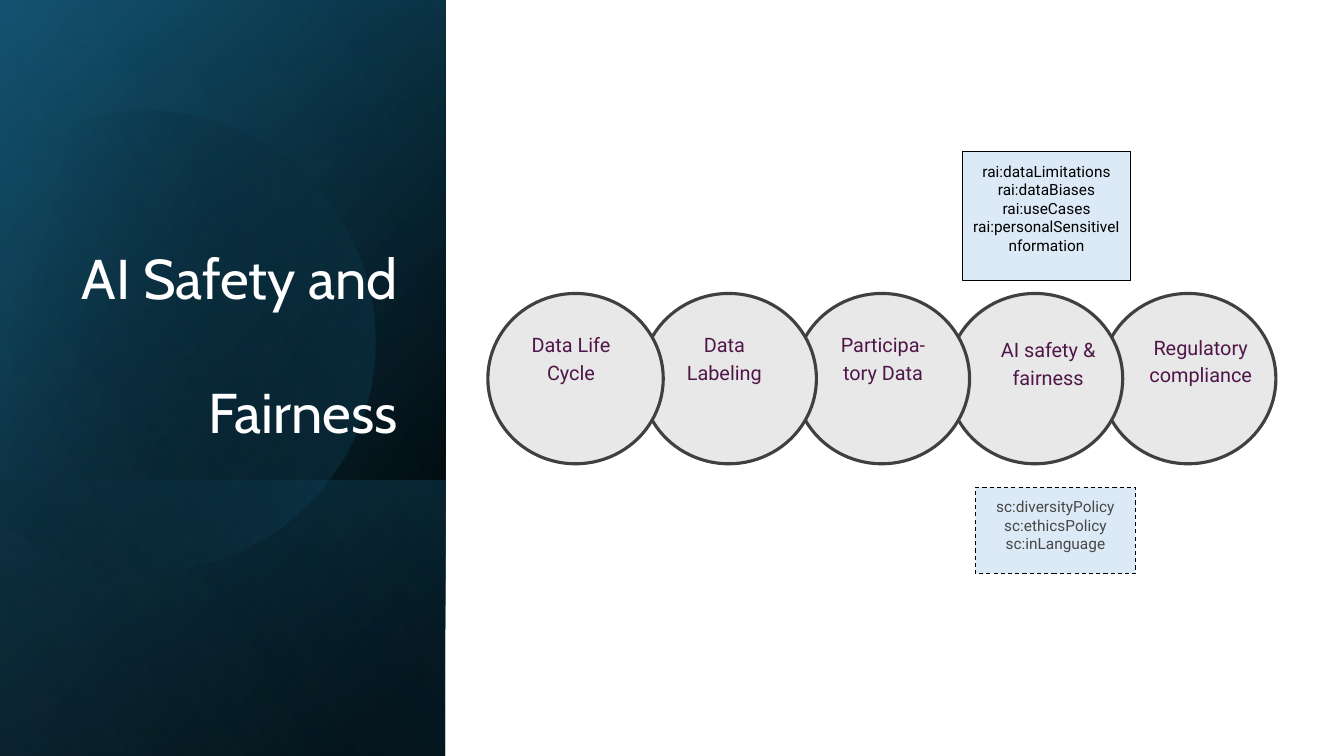
from math import cos, sin, radians
from pptx import Presentation
from pptx.util import Pt
from pptx.dml.color import RGBColor
from pptx.enum.dml import MSO_LINE as Dash
from pptx.enum.shapes import MSO_SHAPE as Shape
from pptx.enum.text import MSO_ANCHOR as Anchor, PP_ALIGN as Align, MSO_AUTO_SIZE as Fit
from pptx.oxml import parse_xml
from pptx.oxml.ns import nsdecls, qn


def hue(code):
    return RGBColor.from_string(code)


def write(shape, text, size, code, anchor, font="Roboto", align=Align.CENTER, pad=7.2):
    frame = shape.text_frame
    frame.text = text
    frame.word_wrap = True
    frame.auto_size = Fit.NONE
    frame.vertical_anchor = anchor
    frame.margin_left = frame.margin_right = Pt(7.2)
    frame.margin_top = frame.margin_bottom = Pt(pad)
    for para in frame.paragraphs:
        para.alignment = align
        para.font.size = Pt(size)
        para.font.name = font
        para.font.color.rgb = hue(code)
    return frame.paragraphs


deck = Presentation()
deck.slide_width, deck.slide_height = Pt(960), Pt(540)
slide = deck.slides.add_slide(deck.slide_layouts[5])
shapes = slide.shapes

wide, high = 318.24, 540
panels = [
    (0, high, 50, [(8, "000000", 100), (100, "104862", 100)]),
    (0, high, 30, [(0, "000000", 0), (99, "156082", 46)]),
    (342.9, 197.1, 130, [(2, "156082", 29), (100, "000000", 30)]),
    (None, None, 30, [(29, "000000", 0), (100, "156082", 43)]),
    (0, high, 120, [(0, "000000", 0), (99, "46B1E1", 11)]),
]
disc = (-39.6, 76.32, 307.44, 329.04)
tilt = 343.9
moves = [
    ("moveTo", [(1.49, 1.1)]),
    ("cubicBezTo", [(2.46, 1.12), (3.35, 1.77), (3.63, 2.75)]),
    ("cubicBezTo", [(3.98, 3.97), (3.28, 5.23), (2.07, 5.58)]),
    ("cubicBezTo", [(1.31, 5.8), (0.53, 5.61), (-0.03, 5.14)]),
    ("lnTo", [(-0.15, 5.03)]),
    ("lnTo", [(-0.15, 1.75)]),
    ("lnTo", [(0, 1.61)]),
    ("cubicBezTo", [(0.23, 1.42), (0.5, 1.28), (0.8, 1.19)]),
    ("cubicBezTo", [(1.03, 1.13), (1.26, 1.1), (1.49, 1.1)]),
]

for top, tall, angle, stops in panels:
    if top is None:
        left, up, width, height = disc
        unit = 100
        draft = shapes.build_freeform(left * unit, up * unit, scale=Pt(1) / unit)
        draft.add_line_segments([((left + width) * unit, up * unit),
                                 ((left + width) * unit, (up + height) * unit),
                                 (left * unit, (up + height) * unit)], close=True)
        panel = draft.convert_to_shape()
        panel.rotation = tilt
        route = panel._element.spPr.find(".//" + qn("a:path"))
        for old in list(route):
            route.remove(old)
        turn = radians(-tilt)
        for kind, spots in moves:
            dots = ""
            for x, y in spots:
                dx, dy = x * 72 - left - width / 2, y * 72 - up - height / 2
                px = round((width / 2 + dx * cos(turn) - dy * sin(turn)) * unit)
                py = round((height / 2 + dx * sin(turn) + dy * cos(turn)) * unit)
                dots += f'<a:pt x="{px}" y="{py}"/>'
            route.append(parse_xml(f'<a:{kind} {nsdecls("a")}>{dots}</a:{kind}>'))
        route.append(parse_xml(f'<a:close {nsdecls("a")}/>'))
    else:
        panel = shapes.add_shape(Shape.RECTANGLE, Pt((wide - tall) / 2),
                                 Pt(top + (tall - wide) / 2), Pt(tall), Pt(wide))
        panel.rotation = 90
        panel._element.spPr.find(qn("a:xfrm")).set("flipH", "1")
    panel.shadow.inherit = False
    panel.line.fill.background()
    panel.fill.background()
    marks = "".join(
        f'<a:gs pos="{pos * 1000}"><a:srgbClr val="{code}"><a:alpha val="{alpha * 1000}"/>'
        "</a:srgbClr></a:gs>" for pos, code, alpha in stops)
    blend = parse_xml(
        f'<a:gradFill {nsdecls("a")} rotWithShape="1"><a:gsLst>{marks}</a:gsLst>'
        f'<a:lin ang="{angle * 60000}" scaled="0"/></a:gradFill>')
    props = panel._element.spPr
    props.replace(props.find(qn("a:noFill")), blend)

title = shapes.title
title.left, title.top, title.width, title.height = Pt(45.8), Pt(133), Pt(245.5), Pt(188.6)
for para in write(title, "AI Safety and Fairness", 40, "FFFFFF", Anchor.BOTTOM,
                  "Cabin", Align.RIGHT, 3.6):
    para.line_spacing = 2
shapes._spTree.append(title._element)

notes = [
    (687.5, 108.4, 120.2, 91.8, "000000", Dash.SOLID,
     "rai:dataLimitations\vrai:dataBiases\vrai:useCases\vrai:personalSensitiveInformation"),
    (696.8, 348.1, 114.3, 61.7, "474747", Dash.DASH,
     "sc:diversityPolicy\nsc:ethicsPolicy sc:inLanguage"),
]
for left, top, width, height, code, dash, text in notes:
    note = shapes.add_shape(Shape.RECTANGLE, Pt(left), Pt(top), Pt(width), Pt(height))
    note.shadow.inherit = False
    note.fill.solid()
    note.fill.fore_color.rgb = hue("DCEAF7")
    note.line.color.rgb = hue("000000")
    note.line.width = Pt(0.75)
    note.line.dash_style = dash
    write(note, text, 11, code, Anchor.TOP)

topics = [
    ("Data Life Cycle", 364.3, 237.6, 87.1, 34.6),
    ("Data Labeling", 473.8, 237.6, 87.1, 34.6),
    ("Participa-tory Data", 584.6, 238, 92.2, 33.8),
    ("AI safety & fairness", 695.8, 232.9, 105.8, 51.1),
    ("Regulatory compliance", 804, 239.4, 107.3, 34.6),
]
for spot, (text, left, top, width, height) in reversed(list(enumerate(topics))):
    ring = shapes.add_shape(Shape.OVAL, Pt(348.5 + 109.4 * spot), Pt(209.6),
                            Pt(125.3), Pt(121.7))
    ring.shadow.inherit = False
    ring.fill.solid()
    ring.fill.fore_color.rgb = hue("E8E8E8")
    ring.line.color.rgb = hue("404040")
    ring.line.width = Pt(2.25)
    label = shapes.add_textbox(Pt(left), Pt(top), Pt(width), Pt(height))
    for para in write(label, text, 14.2, "501649", Anchor.MIDDLE):
        para.line_spacing = 1.15
        para.space_after = Pt(6)

deck.save("out.pptx")
